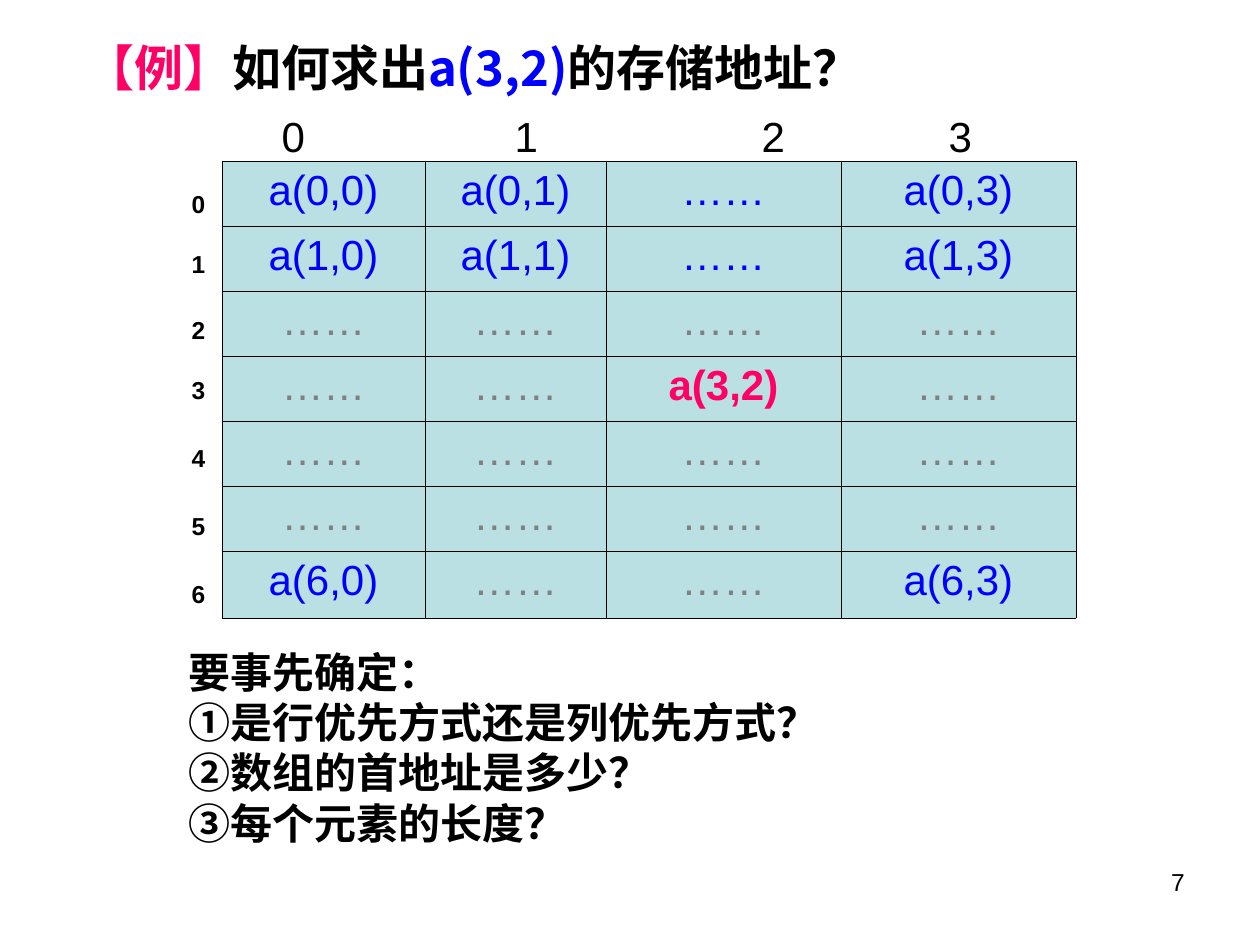
from dataclasses import dataclass

from lxml.etree import SubElement
from pptx import Presentation
from pptx.dml.color import RGBColor
from pptx.enum.text import MSO_ANCHOR, PP_ALIGN
from pptx.oxml.ns import qn
from pptx.util import Emu, Pt

EMU_PER_PX = 914400 / 126
NO_STYLE = "{2D5ABB26-0587-4C30-8999-92F81FD0307C}"


@dataclass(frozen=True)
class Theme:
    latin: str = "Arial"
    chinese: str = "Noto Sans CJK SC"
    black: str = "000000"
    blue: str = "0000FF"
    pink: str = "FF0066"
    grey: str = "808080"
    cell: str = "BBE0E3"
    title: int = 28
    body: int = 24
    small: int = 14
    border: float = 0.45


THEME = Theme()
DOTS = "……"
TARGET = "a(3,2)"


def px(length):
    return Emu(round(length * EMU_PER_PX))


def set_font(font, size, color=THEME.black, name=THEME.latin, bold=False):
    font.size, font.name, font.bold = Pt(size), name, bold
    font.color.rgb = RGBColor.from_string(color)


def set_east_asian(run):
    SubElement(run.font._element, qn("a:ea"), typeface=THEME.chinese)


def place(shape, left, top, width, height):
    shape.left, shape.top = px(left), px(top)
    shape.width, shape.height = px(width), px(height)


def add_title(slide, box, parts):
    title = slide.shapes.title
    place(title, *box)
    frame = title.text_frame
    frame.word_wrap, frame.vertical_anchor = True, MSO_ANCHOR.TOP
    heading = frame.paragraphs[0]
    heading.alignment = PP_ALIGN.LEFT
    for text, color in parts:
        run = heading.add_run()
        run.text = text
        set_font(run.font, THEME.title, color, THEME.chinese, bold=True)
        set_east_asian(run)


def add_text(slide, box, lines, size, name=THEME.latin, bold=False,
             align=PP_ALIGN.LEFT):
    frame = slide.shapes.add_textbox(*map(px, box)).text_frame
    frame.word_wrap = True
    frame.text = "\n".join(lines)
    for line in frame.paragraphs:
        line.alignment = align
        set_font(line.font, size, name=name, bold=bold)
        if name == THEME.chinese:
            set_east_asian(line.runs[0])


def add_grid(slide, left, top, widths, heights):
    """Add an unstyled table with the given column widths and row heights."""
    frame = slide.shapes.add_table(
        len(heights), len(widths), px(left), px(top),
        px(sum(widths)), px(sum(heights)))
    grid = frame.table
    grid.first_row = grid.horz_banding = False
    grid._tbl.tblPr.find(qn("a:tableStyleId")).text = NO_STYLE
    for column, width in zip(grid.columns, widths):
        column.width = px(width)
    for row, height in zip(grid.rows, heights):
        row.height = px(height)
    return grid


def fill_cell(cell, text, size, color=THEME.black, bold=False,
              align=PP_ALIGN.LEFT):
    cell.text = text
    content = cell.text_frame.paragraphs[0]
    content.alignment = align
    set_font(content.font, size, color, bold=bold)
    cell.fill.background()
    return content


def shade_cell(cell):
    """Give a cell thin black borders and the array colour."""
    cell.fill.solid()
    cell.fill.fore_color.rgb = RGBColor.from_string(THEME.cell)
    properties = cell._tc.get_or_add_tcPr()
    for index, side in enumerate(("lnL", "lnR", "lnT", "lnB")):
        line = properties.makeelement(
            qn(f"a:{side}"), {"w": str(Pt(THEME.border))})
        paint = SubElement(line, qn("a:solidFill"))
        SubElement(paint, qn("a:srgbClr"), val=THEME.black)
        properties.insert(index, line)


def element_color(row, text):
    if text == TARGET:
        return THEME.pink
    return THEME.blue if row < 2 or text != DOTS else THEME.grey


def add_array(slide):
    elements = [
        ["a(0,0)", "a(0,1)", DOTS, "a(0,3)"],
        ["a(1,0)", "a(1,1)", DOTS, "a(1,3)"],
        [DOTS] * 4,
        [DOTS, DOTS, TARGET, DOTS],
        [DOTS] * 4,
        [DOTS] * 4,
        ["a(6,0)", DOTS, DOTS, "a(6,3)"],
    ]
    array = add_grid(slide, 222, 161, [203, 181, 235, 235], [65] * 6 + [67])
    for row, texts in enumerate(elements):
        for column, text in enumerate(texts):
            cell = array.cell(row, column)
            fill_cell(cell, text, THEME.body, element_color(row, text),
                      text == TARGET, PP_ALIGN.CENTER)
            shade_cell(cell)


def add_column_numbers(slide):
    header = add_grid(slide, 222, 108, [280, 247, 327], [67])
    first, _, last = [
        fill_cell(header.cell(0, column), text, THEME.body)
        for column, text in enumerate(["0", "1", "2\t3"])]
    # Indent the first number; a tab stop sets the last one
    first._p.get_or_add_pPr().set("marL", str(px(47)))
    stops = last._p.get_or_add_pPr().makeelement(qn("a:tabLst"), {})
    SubElement(stops, qn("a:tab"), pos=str(px(187)), algn="l")
    last._p.pPr.insert_element_before(stops, "a:defRPr", "a:extLst")


def add_row_numbers(slide):
    numbers = add_grid(slide, 179, 185, [54], [60, 66, 60] + [68] * 4)
    for row in range(7):
        fill_cell(numbers.cell(row, 0), str(row), THEME.small, bold=True)


def main():
    deck = Presentation()
    deck.slide_width, deck.slide_height = px(1260), px(945)
    slide = deck.slides.add_slide(deck.slide_layouts[5])

    # Question
    add_title(slide, (73, 31, 819, 72), [
        ("【例】", THEME.pink), ("如何求出", THEME.black),
        (TARGET, THEME.blue), ("的存储地址？", THEME.black)])

    # Array with its column and row numbers
    add_array(slide)
    add_column_numbers(slide)
    add_row_numbers(slide)

    # Points to settle first, and the page number
    add_text(slide, (176, 640, 764, 214), [
        "要事先确定：", "①是行优先方式还是列优先方式？",
        "②数组的首地址是多少？", "③每个元素的长度？",
    ], THEME.body, THEME.chinese, bold=True)
    add_text(slide, (903, 861, 294, 66), ["7"], THEME.small,
             align=PP_ALIGN.RIGHT)

    deck.save("out.pptx")


if __name__ == "__main__":
    main()
